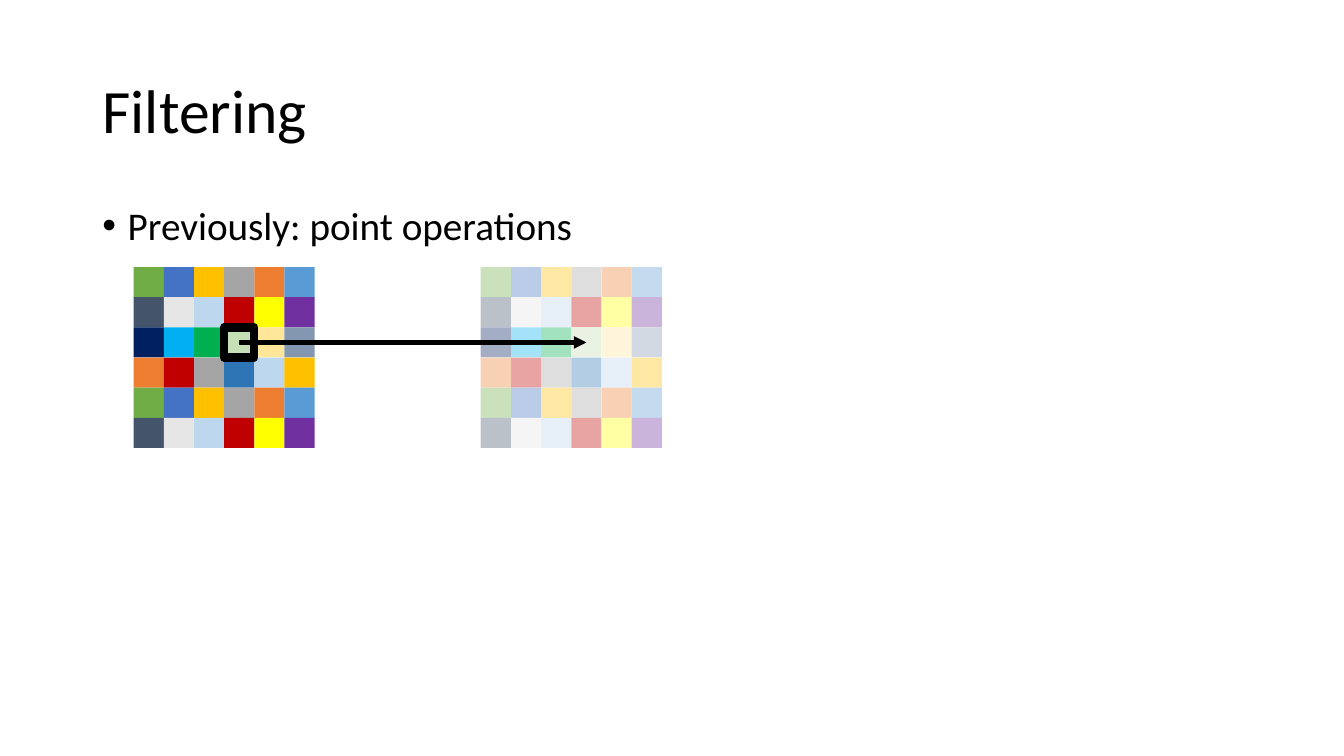
from dataclasses import dataclass

from lxml.etree import SubElement
from pptx import Presentation
from pptx.dml.color import RGBColor
from pptx.enum.shapes import MSO_CONNECTOR as Connector, MSO_SHAPE as Preset
from pptx.enum.text import MSO_ANCHOR as Anchor, MSO_AUTO_SIZE as AutoSize, PP_ALIGN as Align
from pptx.oxml.ns import qn
from pptx.util import Cm, Pt


@dataclass(frozen=True)
class Theme:
    font: str = "Calibri"
    bullet_font: str = "Arial"
    ink: str = "000000"
    veil: str = "FFFFFF"
    veil_opacity: int = 64
    title_size: int = 44
    body_size: int = 28
    line_spacing: float = 0.9
    arrow_width: float = 3
    marker_width: float = 6


GREEN, BLUE, GOLD, GRAY, ORANGE, SKY = "70AD47", "4472C4", "FFC000", "A5A5A5", "ED7D31", "5B9BD5"
SLATE, SILVER, PALE_BLUE, RED, YELLOW, PURPLE = "44546A", "E7E6E6", "BDD7EE", "C00000", "FFFF00", "7030A0"
BRIGHT_ROW = [GREEN, BLUE, GOLD, GRAY, ORANGE, SKY]
MIXED_ROW = [SLATE, SILVER, PALE_BLUE, RED, YELLOW, PURPLE]
PIXELS = [
    BRIGHT_ROW,
    MIXED_ROW,
    ["002060", "00B0F0", "00B050", "C5E0B4", "FFE699", "8497B0"],
    [ORANGE, RED, GRAY, "2E75B6", PALE_BLUE, GOLD],
    BRIGHT_ROW,
    MIXED_ROW,
]
CELL = 0.76
IMAGE_SIZE = CELL * len(PIXELS)
IMAGE_TOP = 6.73
INPUT_LEFT = 3.37
OUTPUT_LEFT = 12.12
MARKED_ROW, MARKED_COLUMN = 2, 3


class SlideBuilder:
    """Draw styled elements on the current slide."""

    def __init__(self, slide, theme):
        self.slide = slide
        self.theme = theme

    def add_text(self, paragraph, text, size):
        paragraph.line_spacing = self.theme.line_spacing
        paragraph.space_before = Pt(0)
        paragraph.alignment = Align.LEFT
        run = paragraph.add_run()
        run.text = text
        run.font.name = self.theme.font
        run.font.size = Pt(size)
        run.font.color.rgb = RGBColor.from_string(self.theme.ink)

    def title(self, text, left, top, width, height):
        shape = self.slide.shapes.title
        shape.left, shape.top, shape.width, shape.height = map(Cm, (left, top, width, height))
        frame = shape.text_frame
        frame.auto_size = AutoSize.NONE
        frame.vertical_anchor = Anchor.MIDDLE
        self.add_text(frame.paragraphs[0], text, self.theme.title_size)

    def bullet(self, text, left, top, width, height, indent):
        box = self.slide.shapes.add_textbox(*map(Cm, (left, top, width, height)))
        box.text_frame.word_wrap = True
        paragraph = box.text_frame.paragraphs[0]
        properties = paragraph._p.get_or_add_pPr()
        properties.set("marL", str(Cm(indent)))
        properties.set("indent", str(-Cm(indent)))
        SubElement(properties, qn("a:buFont"), typeface=self.theme.bullet_font)
        SubElement(properties, qn("a:buChar"), char="•")
        self.add_text(paragraph, text, self.theme.body_size)

    def rectangle(self, shapes, left, top, width, height):
        shape = shapes.add_shape(Preset.RECTANGLE, *map(Cm, (left, top, width, height)))
        shape.shadow.inherit = False
        shape.fill.background()
        shape.line.fill.background()
        return shape

    def fill(self, shape, color):
        shape.fill.solid()
        shape.fill.fore_color.rgb = RGBColor.from_string(color)

    def pixel_grid(self, left, top):
        group = self.slide.shapes.add_group_shape()
        for row, colors in enumerate(PIXELS):
            for column, color in enumerate(colors):
                pixel = self.rectangle(group.shapes, left + column * CELL, top + row * CELL, CELL, CELL)
                self.fill(pixel, color)

    def veil(self, left, top, size):
        shape = self.rectangle(self.slide.shapes, left, top, size, size)
        self.fill(shape, self.theme.veil)
        color = shape._element.spPr.find(qn("a:solidFill"))[0]
        SubElement(color, qn("a:alpha"), val=str(self.theme.veil_opacity * 1000))

    def outline(self, line, width):
        line.color.rgb = RGBColor.from_string(self.theme.ink)
        line.width = Pt(width)

    def arrow(self, start_x, start_y, end_x, end_y):
        connector = self.slide.shapes.add_connector(
            Connector.STRAIGHT, *map(Cm, (start_x, start_y, end_x, end_y)))
        self.outline(connector.line, self.theme.arrow_width)
        properties = connector._element.spPr
        SubElement(properties.find(qn("a:ln")), qn("a:tailEnd"), type="triangle")
        SubElement(properties, qn("a:effectLst"))

    def marker(self, left, top):
        shape = self.rectangle(self.slide.shapes, left, top, CELL, CELL)
        self.outline(shape.line, self.theme.marker_width)


def main():
    presentation = Presentation()
    presentation.slide_width, presentation.slide_height = Cm(33.87), Cm(19.05)
    slide = presentation.slides.add_slide(presentation.slide_layouts.get_by_name("Title Only"))
    builder = SlideBuilder(slide, Theme())

    builder.title("Filtering", 2.33, 1.01, 29.21, 3.68)
    builder.bullet("Previously: point operations", 2.33, 5.07, 29.21, 12.09, 0.64)
    for left in (INPUT_LEFT, OUTPUT_LEFT):
        builder.pixel_grid(left, IMAGE_TOP)
    builder.veil(OUTPUT_LEFT, IMAGE_TOP, IMAGE_SIZE)

    marked_x, marked_y = MARKED_COLUMN * CELL, IMAGE_TOP + MARKED_ROW * CELL
    center_x, center_y = marked_x + CELL / 2, marked_y + CELL / 2
    builder.arrow(INPUT_LEFT + center_x, center_y, OUTPUT_LEFT + center_x, center_y)
    builder.marker(INPUT_LEFT + marked_x, marked_y)

    presentation.save("out.pptx")


if __name__ == "__main__":
    main()
